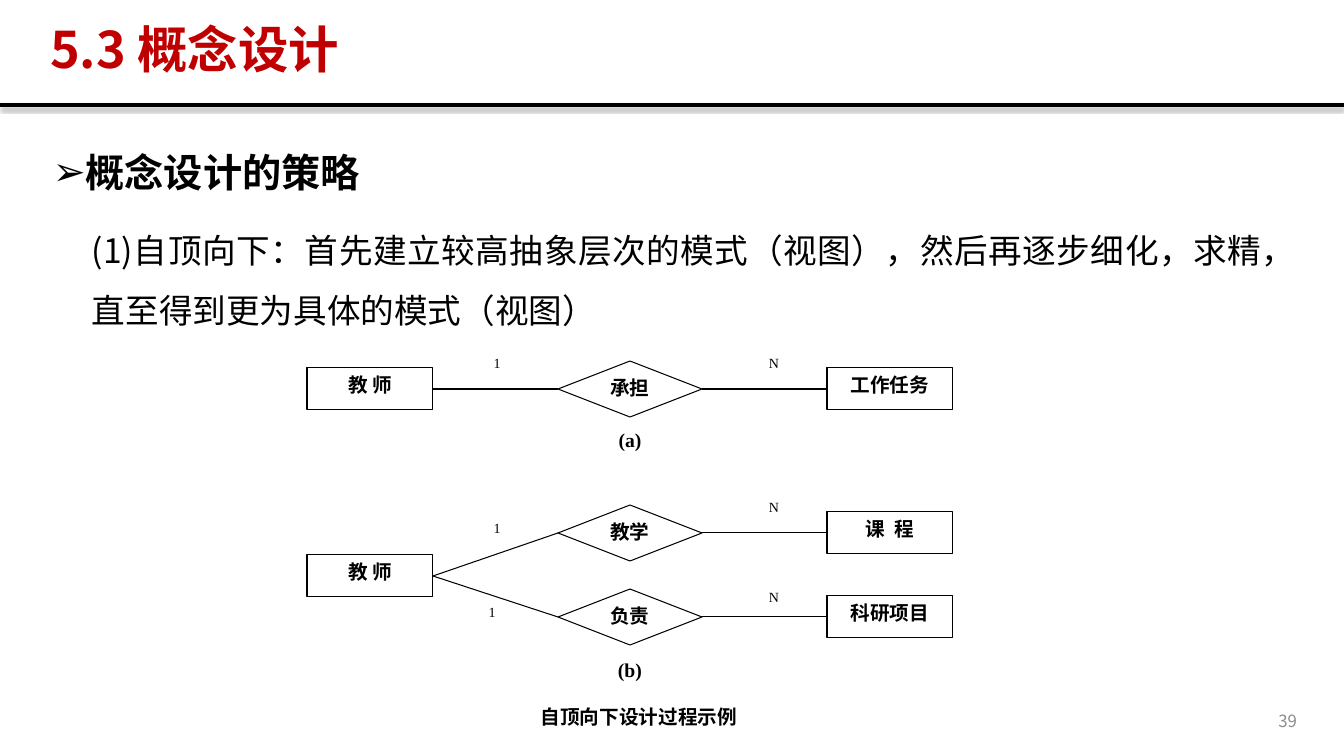
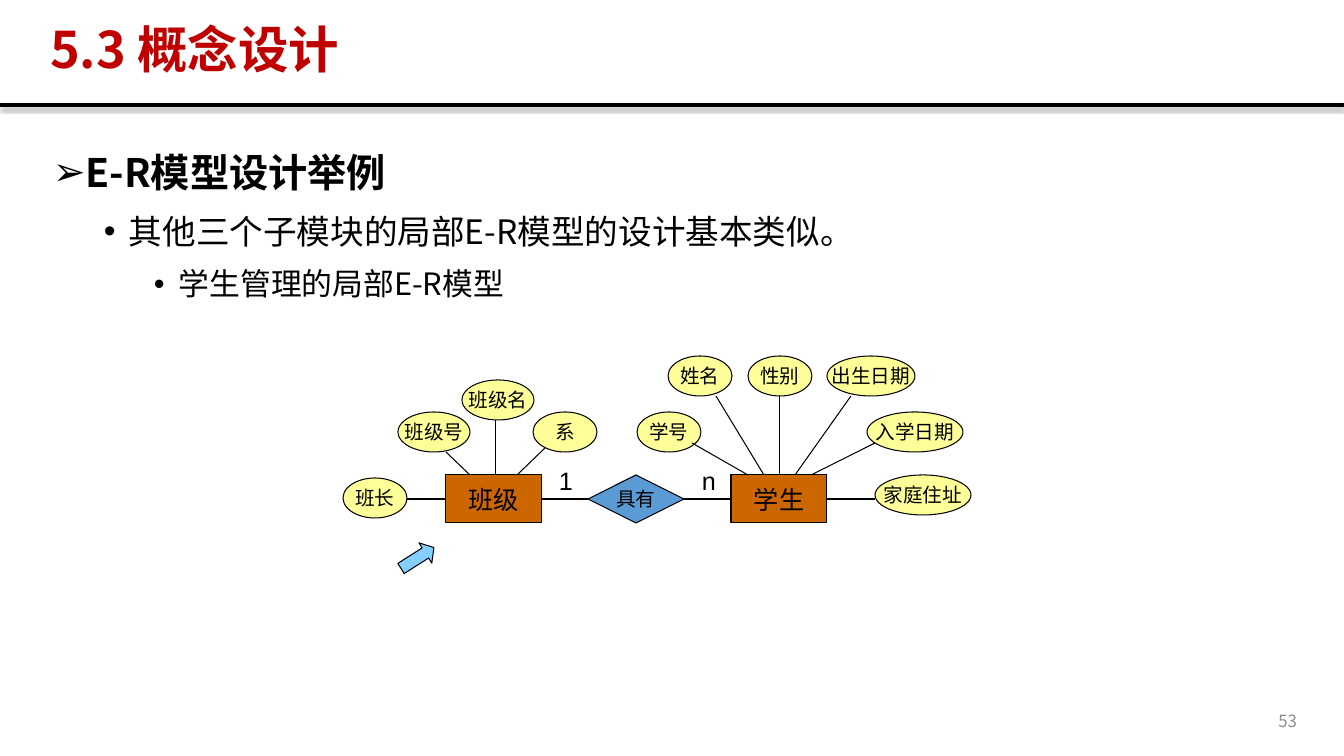
import dataclasses

import lxml.etree
import pptx
import pptx.dml.color
import pptx.enum.shapes
import pptx.enum.text
import pptx.oxml.ns
import pptx.util

PX = 12192000 / 1344
SHAPE = pptx.enum.shapes.MSO_SHAPE
STRAIGHT = pptx.enum.shapes.MSO_CONNECTOR.STRAIGHT
ALIGN = pptx.enum.text.PP_ALIGN
ANCHOR = pptx.enum.text.MSO_ANCHOR
qn = pptx.oxml.ns.qn
rgb = pptx.dml.color.RGBColor.from_string


@dataclasses.dataclass(frozen=True)
class Theme:
    ink: str = "000000"
    paper: str = "FFFFFF"
    title: str = "C00000"
    number: str = "8C8C8C"
    entity: str = "CC6600"
    relation: str = "5B9BD5"
    attribute: str = "FFFF99"
    pointer: str = "83D0FF"
    sans: str = "Noto Sans CJK SC"
    serif: str = "Times New Roman"
    label: str = "Arial"
    title_size: int = 36
    heading_size: int = 28
    point_size: int = 24
    detail_size: int = 22
    entity_size: int = 18
    node_size: int = 14
    number_size: int = 12
    count_size: int = 10
    hairline: float = 0.75
    band: int = 3


theme = Theme()


def write(paragraph, text, size, font, color=theme.ink, bold=False):
    run = paragraph.add_run()
    run.text = text
    run.font.size = pptx.util.Pt(size)
    run.font.bold = bold
    run.font.name = font
    run.font.color.rgb = rgb(color)
    east_asian = lxml.etree.SubElement(run._r.get_or_add_rPr(), qn("a:ea"))
    east_asian.set("typeface", theme.sans)


def place(slide, kind, box, fill, outlined=True, text="", size=theme.node_size,
          font=theme.serif, bold=False, insets=(10, 5), middle=False):
    node = slide.shapes.add_shape(kind, *[round(v * PX) for v in box])
    node.shadow.inherit = False
    node.fill.solid()
    node.fill.fore_color.rgb = rgb(fill)
    if outlined:
        node.line.color.rgb = rgb(theme.ink)
        node.line.width = pptx.util.Pt(theme.hairline)
    else:
        node.line.fill.background()
    frame = node.text_frame
    frame.word_wrap = not middle
    frame.vertical_anchor = ANCHOR.MIDDLE if middle else ANCHOR.TOP
    frame.margin_left = frame.margin_right = round(insets[0] * PX)
    frame.margin_top = round(insets[1] * PX)
    if text:
        frame.paragraphs[0].alignment = ALIGN.CENTER
        write(frame.paragraphs[0], text, size, font, bold=bold)
    return node


deck = pptx.Presentation()
deck.slide_width = round(1344 * PX)
deck.slide_height = round(756 * PX)

pages = [
    ("39", [
        ("概念设计的策略", theme.heading_size, True, "➢", 25, 1.2, 0),
        ("(1)自顶向下：首先建立较高抽象层次的模式（视图），然后再逐步细化，求精，直至得到更为具体的模式（视图）",
         theme.point_size, False, "", 39, 1.5, 10),
    ]),
    ("53", [
        ("E-R模型设计举例", theme.heading_size, True, "➢", 25, 1.2, 0),
        ("其他三个子模块的局部E-R模型的设计基本类似。", theme.point_size, False, "•", 76, 1.2, 5),
        ("学生管理的局部E-R模型", theme.detail_size, False, "•", 126, 1.2, 5),
    ]),
]

for number, points in pages:
    slide = deck.slides.add_slide(deck.slide_layouts[5])

    band = slide.shapes.add_connector(STRAIGHT, 0, round(105 * PX), deck.slide_width, round(105 * PX))
    band.line.color.rgb = rgb(theme.ink)
    band.line.width = pptx.util.Pt(theme.band)
    effects = lxml.etree.SubElement(band._element.spPr, qn("a:effectLst"))
    shadow = lxml.etree.SubElement(effects, qn("a:outerShdw"), blurRad="39370", dist="22860",
                                   dir="5400000", rotWithShape="0")
    shade = lxml.etree.SubElement(shadow, qn("a:srgbClr"), val=theme.ink)
    lxml.etree.SubElement(shade, qn("a:alpha"), val="35000")

    title = slide.shapes.title
    title.left, title.top, title.width, title.height = [round(v * PX) for v in (40, 19, 1180, 66)]
    title.text_frame.auto_size = pptx.enum.text.MSO_AUTO_SIZE.NONE
    title.text_frame.vertical_anchor = ANCHOR.MIDDLE
    heading = title.text_frame.paragraphs[0]
    heading.alignment = ALIGN.JUSTIFY
    heading.line_spacing = 0.9
    write(heading, "5.3 概念设计", theme.title_size, theme.sans, theme.title, True)

    body = slide.shapes.add_textbox(*[round(v * PX) for v in (43, 134, 1263, 546)]).text_frame
    body.word_wrap = True
    for index, (text, size, bold, bullet, indent, spacing, before) in enumerate(points):
        point = body.add_paragraph() if index else body.paragraphs[0]
        properties = point._p.get_or_add_pPr()
        properties.set("marL", str(round(indent * PX)))
        if bullet:
            properties.set("indent", str(round(-25 * PX)))
            lxml.etree.SubElement(properties, qn("a:buFont"), typeface=theme.label)
            lxml.etree.SubElement(properties, qn("a:buChar"), char=bullet)
        point.alignment = ALIGN.JUSTIFY
        point.line_spacing = spacing
        if before:
            point.space_before = pptx.util.Pt(before)
        write(point, text, size, theme.sans, bold=bold)

    footer = slide.shapes.add_textbox(*[round(v * PX) for v in (1005, 701, 302, 40)]).text_frame
    footer.word_wrap = True
    footer.vertical_anchor = ANCHOR.MIDDLE
    footer.paragraphs[0].alignment = ALIGN.RIGHT
    write(footer.paragraphs[0], number, theme.number_size, theme.sans, theme.number)

strategy, example = deck.slides

for count, x, y in [("1", 479, 355), ("N", 756, 355), ("1", 479, 520),
                    ("N", 756, 499), ("1", 474, 604), ("N", 756, 589)]:
    place(strategy, SHAPE.RECTANGLE, (x, y, 36, 27), theme.paper, False, count,
          theme.count_size, insets=(0, 0))

for part, y in [("(a)", 428), ("(b)", 658)]:
    place(strategy, SHAPE.RECTANGLE, (612, y, 36, 27), theme.paper, False, part,
          bold=True, insets=(0, 0))
place(strategy, SHAPE.RECTANGLE, (487, 700, 304, 41), theme.paper, False,
      "自顶向下设计过程示例", bold=True)

teachers = [place(strategy, SHAPE.RECTANGLE, (307, y - 21, 126, 42), theme.paper,
                  text="教 师", bold=True) for y in (389, 576)]
bonds = []
for teacher, duty, target, y in [(teachers[0], "承担", "工作任务", 389),
                                 (teachers[1], "教学", "课  程", 533),
                                 (teachers[1], "负责", "科研项目", 617)]:
    relation = place(strategy, SHAPE.DIAMOND, (558, y - 28, 144, 56), theme.paper,
                     text=duty, bold=True, insets=(10, 1))
    entity = place(strategy, SHAPE.RECTANGLE, (827, y - 21, 126, 42), theme.paper,
                   text=target, bold=True)
    bonds += [(strategy, teacher, relation), (strategy, relation, entity)]

class_entity, has_relation, student_entity = [
    place(example, kind, (x, 475, 96, 48), fill, text=text, size=size,
          font=theme.label, insets=(0, 5), middle=True)
    for kind, x, fill, text, size in [
        (SHAPE.RECTANGLE, 446, theme.entity, "班级", theme.entity_size),
        (SHAPE.DIAMOND, 588, theme.relation, "具有", theme.node_size),
        (SHAPE.RECTANGLE, 731, theme.entity, "学生", theme.entity_size),
    ]
]
bonds += [(example, class_entity, has_relation), (example, has_relation, student_entity)]

for count, x in [("1", 549), ("n", 692)]:
    cardinality = example.shapes.add_textbox(*[round(v * PX) for v in (x, 460, 32, 40)])
    cardinality.text_frame.word_wrap = True
    write(cardinality.text_frame.paragraphs[0], count, theme.entity_size, theme.label)

attributes = [
    ("班长", 343, 478, 64, (407, 499, 446, 499)),
    ("班级号", 398, 412, 72, (446, 452, 470, 475)),
    ("班级名", 462, 380, 72, (496, 420, 496, 475)),
    ("系", 533, 412, 64, (545, 448, 517, 475)),
    ("学号", 637, 412, 64, (692, 443, 748, 475)),
    ("姓名", 668, 356, 64, (716, 396, 764, 475)),
    ("性别", 748, 356, 64, (780, 396, 780, 475)),
    ("出生日期", 827, 356, 88, (851, 396, 795, 475)),
    ("入学日期", 867, 412, 96, (875, 443, 811, 475)),
    ("家庭住址", 875, 475, 96, (875, 499, 827, 499)),
]
links = []
for text, x, y, width, spoke in attributes:
    place(example, SHAPE.OVAL, (x, y, width, 40), theme.attribute, text=text,
          font=theme.label, insets=(0, 5), middle=True)
    links.append(example.shapes.add_connector(STRAIGHT, *[round(v * PX) for v in spoke]))

for slide, start, end in bonds:
    bond = slide.shapes.add_connector(STRAIGHT, 0, 0, 0, 0)
    bond.begin_connect(start, 3)
    bond.end_connect(end, 1)
    links.append(bond)

for link in links:
    link.line.color.rgb = rgb(theme.ink)
    link.line.width = pptx.util.Pt(theme.hairline)
    lxml.etree.SubElement(link._element.spPr, qn("a:effectLst"))

pointer = place(example, SHAPE.RIGHT_ARROW, (398, 546, 39, 24), theme.pointer)
pointer.rotation = 327.6
pointer.adjustments[1] = 0.42

deck.save("out.pptx")
